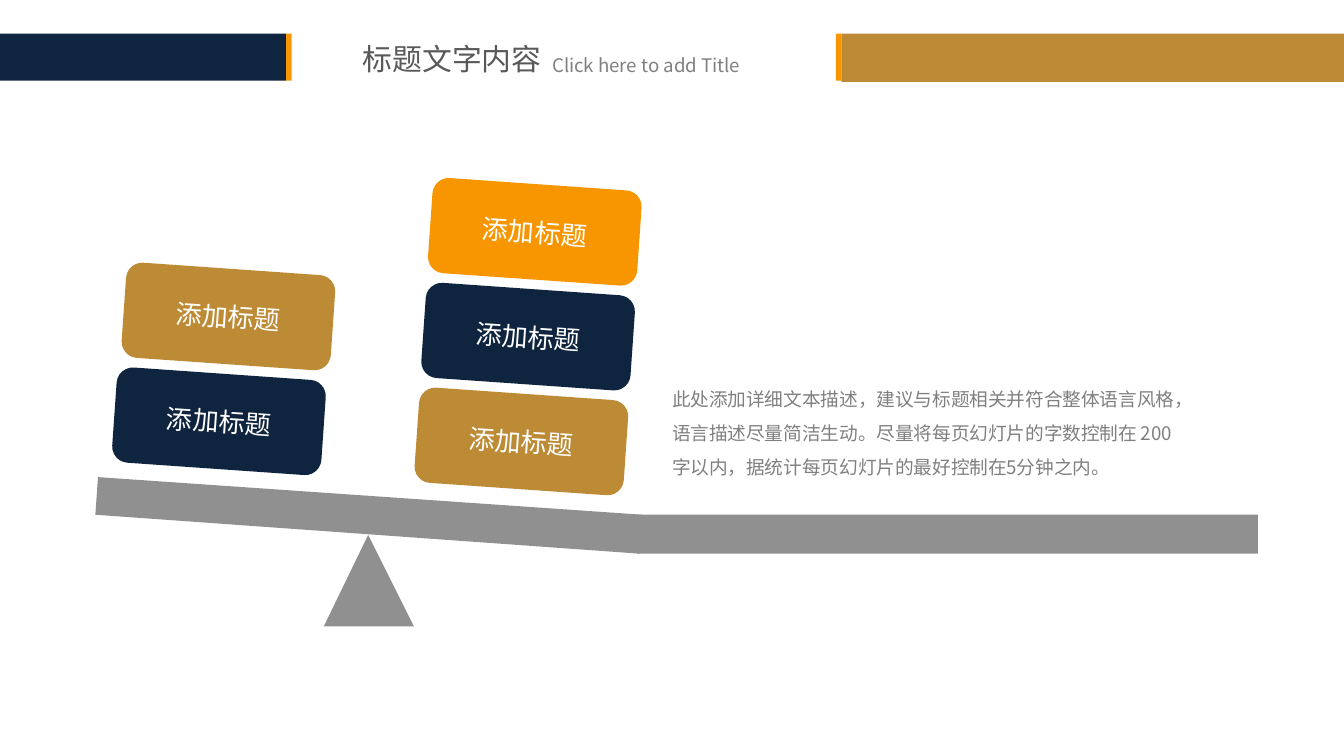
from lxml import etree
from pptx import Presentation
from pptx import util as u
from pptx.dml.color import RGBColor
from pptx.enum import shapes, text
from pptx.oxml.ns import qn

NAVY = RGBColor(0x0F, 0x24, 0x3E)
GOLD = RGBColor(0xBD, 0x8B, 0x36)
ORANGE = RGBColor(0xF7, 0x96, 0x00)
GRAY = RGBColor(0x90, 0x90, 0x90)
DARK_TEXT = RGBColor(0x59, 0x59, 0x59)
LIGHT_TEXT = RGBColor(0x80, 0x80, 0x80)
WHITE = RGBColor(0xFF, 0xFF, 0xFF)
FONT = "Noto Sans CJK SC"
TILT = 4
BLOCK_SIZE = (1.56, 0.71)
BLOCK_STEP = 0.78
DESCRIPTION = (
    "此处添加详细文本描述，建议与标题相关并符合整体语言风格，语言描述尽量简洁生动。"
    "尽量将每页幻灯片的字数控制在 200字以内，据统计每页幻灯片的最好控制在5分钟之内。"
)


def set_all(target, values):
    """Set each named attribute of the target."""
    for name, value in values.items():
        setattr(target, name, value)


def place(shape, left, top, width, height):
    """Move and size a shape, in inches."""
    names = ("left", "top", "width", "height")
    set_all(shape, dict(zip(names, map(u.Inches, (left, top, width, height)))))


def paint(shape, color):
    """Give a shape a flat fill without outline or shadow."""
    shape.fill.solid()
    shape.fill.fore_color.rgb = color
    shape.line.fill.background()
    shape.shadow.inherit = False


def write(shape, content, size, color, align=text.PP_ALIGN.LEFT, spacing=1.0,
          anchor=text.MSO_ANCHOR.MIDDLE, side=0.07, edge=0):
    """Write one unbulleted paragraph into a shape."""
    set_all(shape.text_frame, {
        "text": content,
        "word_wrap": True,
        "auto_size": text.MSO_AUTO_SIZE.NONE,
        "vertical_anchor": anchor,
        "margin_left": u.Inches(side),
        "margin_right": u.Inches(side),
        "margin_top": u.Inches(edge),
        "margin_bottom": u.Inches(edge),
    })
    paragraph = shape.text_frame.paragraphs[0]
    set_all(paragraph, {"alignment": align, "line_spacing": spacing, "space_before": u.Pt(0)})
    properties = paragraph._p.get_or_add_pPr()
    properties.set("marL", "0")
    properties.set("indent", "0")
    etree.SubElement(properties, qn("a:buNone"))
    font = paragraph.runs[0].font
    set_all(font, {"name": FONT, "size": u.Pt(size)})
    font.color.rgb = color
    etree.SubElement(font._element, qn("a:ea")).set("typeface", FONT)


def add_bar(slide, color, *box):
    """Add a plain rectangle."""
    shape = slide.shapes.add_shape(shapes.MSO_SHAPE.RECTANGLE, *map(u.Inches, box))
    paint(shape, color)


def add_seesaw(slide, *outlines):
    """Add the fulcrum and tilted plank as one outline shape."""
    contours = [[(u.Inches(x), u.Inches(y)) for x, y in points] for points in outlines]
    builder = slide.shapes.build_freeform(*contours[0][0], scale=1.0)
    builder.add_line_segments(contours[0][1:], close=True)
    for points in contours[1:]:
        builder.move_to(*points[0])
        builder.add_line_segments(points[1:], close=True)
    paint(builder.convert_to_shape(), GRAY)


def add_stack(slide, left, top, shift, colors):
    """Stack tilted blocks upward from the plank."""
    for level, color in enumerate(colors):
        box = (left + level * shift, top - level * BLOCK_STEP, *BLOCK_SIZE)
        block = slide.shapes.add_shape(
            shapes.MSO_SHAPE.ROUNDED_RECTANGLE, *map(u.Inches, box))
        block.adjustments[0] = 0.17
        block.rotation = TILT
        paint(block, color)
        write(block, "添加标题", 14, WHITE, text.PP_ALIGN.CENTER)


def main():
    """Build and save the seesaw slide."""
    presentation = Presentation()
    width = u.Inches(10)
    set_all(presentation, {"slide_width": width, "slide_height": width * 9 // 16})
    slide = presentation.slides.add_slide(presentation.slide_layouts[1])

    title, body = slide.placeholders
    place(title, 2.6, 0.25, 1.66, 0.37)
    write(title, "标题文字内容", 16, DARK_TEXT,
          anchor=text.MSO_ANCHOR.TOP, side=0.1, edge=0.05)
    subtitle = slide.shapes.add_textbox(*map(u.Inches, (4.01, 0.35, 1.69, 0.27)))
    write(subtitle, "Click here to add Title", 10, LIGHT_TEXT,
          anchor=text.MSO_ANCHOR.TOP, side=0.1, edge=0.05)

    add_bar(slide, GOLD, 6.26, 0.25, 3.74, 0.36)
    add_bar(slide, NAVY, 0, 0.25, 2.13, 0.35)
    for left in (6.22, 2.13):
        add_bar(slide, ORANGE, left, 0.25, 0.04, 0.35)

    add_bar(slide, GRAY, 4.74, 3.83, 4.62, 0.29)
    add_seesaw(slide,
               [(2.74, 3.98), (3.08, 4.66), (2.41, 4.66)],
               [(0.73, 3.55), (4.78, 3.83), (4.76, 4.12), (0.71, 3.83)])

    place(body, 4.93, 2.57, 3.94, 1.22)
    write(body, DESCRIPTION, 10, LIGHT_TEXT, spacing=1.5)

    add_stack(slide, 0.85, 2.78, 0.07, (NAVY, GOLD))
    add_stack(slide, 3.1, 2.93, 0.05, (GOLD, NAVY, ORANGE))
    presentation.save("out.pptx")


if __name__ == "__main__":
    main()
